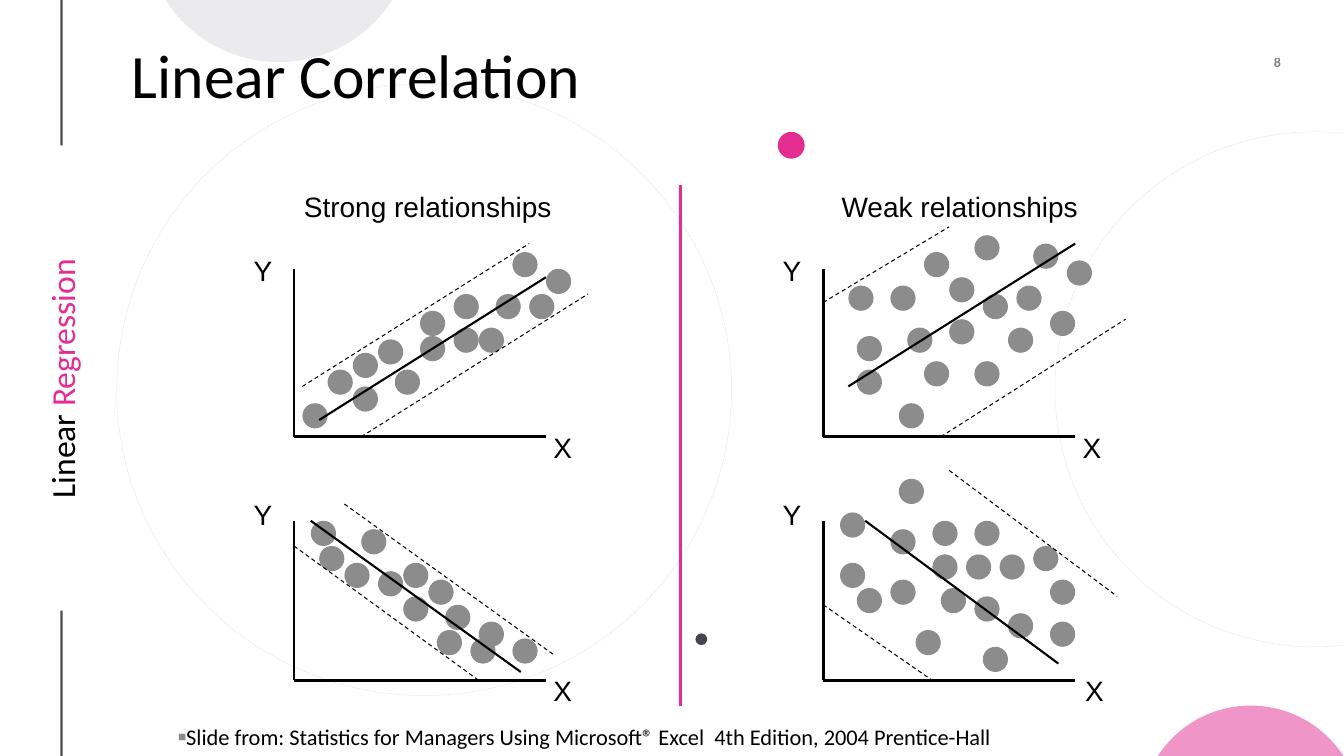
from math import asin, cos, sin
from lxml.etree import SubElement
from pptx import Presentation
from pptx.dml.color import RGBColor as RGB
from pptx.enum.dml import MSO_LINE as Dash
from pptx.enum.shapes import MSO_CONNECTOR as Conn, MSO_SHAPE as Kind
from pptx.enum.text import MSO_ANCHOR as Anchor, MSO_AUTO_SIZE as Fit, PP_ALIGN as Align
from pptx.oxml.ns import qn
from pptx.util import Emu, Pt

COLS, ROWS, CELL = 160, 90, 76200  # square cells, twelve to the inch
BLACK = RGB(0x00, 0x00, 0x00)
PINK = RGB(0xE3, 0x2D, 0x91)
GREY = RGB(0x8C, 0x8C, 0x8C)
PALE = RGB(0xD8, 0xD9, 0xDC)
SLATE = RGB(0x45, 0x45, 0x51)

# Each plot: origin, axis height, column of the X label, dots, fit line, band lines.
# Dots and lines count cells right of and above the origin.
PLOTS = [
    ((35, 52), 20, 29.7,
     [(1, 4), (4, 8), (26, 22), (28, 17), (7, 6), (30, 20), (19, 13), (19, 17),
      (24, 17), (15, 15), (7, 10), (10, 11.6), (22, 13), (15, 12), (12, 8)],
     (3, 2, 30, 19), [(1, 6, 28, 23), (8, 0, 35, 17)]),
    ((35, 81), 19, 29.7,
     [(21, 5), (3, 16), (26, 5), (8, 18), (18, 9), (22, 7), (13, 14), (2, 19),
      (6, 14), (10, 13), (17, 6), (16, 12), (13, 10)],
     (2, 19, 27, 1), [(6, 21, 31, 3), (0, 16, 22, 0)]),
    ((98, 52), 20, 29.7,
     [(15, 19), (4, 8), (18, 9), (23, 18), (8, 18), (9, 4), (12, 9), (19, 17),
      (12, 22), (4, 12), (3, 18), (10, 13), (22, 13), (15, 14), (18, 24),
      (29, 21), (27, 15), (25, 23)],
     (3, 6, 30, 23), [(0, 16, 15, 25), (14, 0, 36, 14)]),
    ((98, 81), 19, 30,
     [(2, 14), (2, 20), (8, 12), (19, 4), (4, 11), (13, 19), (18, 10), (17, 15),
      (13, 15), (8, 18), (21, 15), (14, 11), (11, 6), (22, 8), (27, 12),
      (25, 16), (27, 7), (18, 19), (9, 24)],
     (5, 19, 28, 2), [(15, 25, 35, 10), (0, 9, 13, 0)]),
]


def cells(*vals):
    return [Emu(round(v * CELL)) for v in vals]


def fade(node, pct):
    """Set the opacity of every colour inside an XML node."""
    for clr in node.iter(qn("a:srgbClr")):
        SubElement(clr, qn("a:alpha")).set("val", str(pct * 1000))


class Board:
    def __init__(self, slide):
        self.slide = slide
        self.shapes = slide.shapes

    def font(self, run, size, name="Calibri", color=BLACK, bold=False):
        run.font.size, run.font.name, run.font.bold = Pt(size), name, bold
        run.font.color.rgb = color

    def place(self, shape, box):
        shape.left, shape.top, shape.width, shape.height = cells(*box)

    def line(self, x1, y1, x2, y2, width, color=BLACK, dash=None, alpha=100):
        link = self.shapes.add_connector(Conn.STRAIGHT, *cells(x1, y1, x2, y2))
        link.line.width, link.line.color.rgb = Pt(width), color
        if dash:
            link.line.dash_style = dash
        if alpha < 100:
            fade(link.line._ln, alpha)
        SubElement(link._element.spPr, qn("a:effectLst"))

    def disc(self, x, y, size, color):
        dot = self.shapes.add_shape(Kind.OVAL, *cells(x, y, size, size))
        dot.shadow.inherit = False
        dot.fill.solid()
        dot.fill.fore_color.rgb = color
        dot.line.fill.background()

    def ring(self, *box):
        oval = self.shapes.add_shape(Kind.OVAL, *cells(*box))
        oval.shadow.inherit = False
        oval.fill.background()
        oval.line.width, oval.line.color.rgb = Pt(0.5), BLACK
        oval.line.dash_style = Dash.ROUND_DOT
        fade(oval.line._ln, 10)

    def cap(self, mid, edge, half, rise, color):
        """Draw a disc cut off by a slide edge; a negative rise points up."""
        rad = (half ** 2 + rise ** 2) / (2 * abs(rise))
        way = 1 if rise > 0 else -1
        core = edge + rise - way * rad
        arc = asin(half / rad)
        turns = [arc * (i / 20 - 1) for i in range(41)]
        pts = [cells(mid + rad * sin(t), core + way * rad * cos(t)) for t in turns]
        pen = self.shapes.build_freeform(*pts[0], scale=1.0)
        pen.add_line_segments(pts[1:], close=True)
        part = pen.convert_to_shape()
        part.shadow.inherit = False
        part.fill.solid()
        part.fill.fore_color.rgb = color
        part.line.fill.background()
        fade(part._element.spPr, 50)

    def text(self, words, box, size, name="Arial", wrap=True, **look):
        area = self.shapes.add_textbox(*cells(*box))
        frame = area.text_frame
        frame.text, frame.word_wrap = words, wrap
        self.font(frame.paragraphs[0].runs[0], size, name, **look)
        return area

    def inset(self, frame, gap):
        frame.margin_left = frame.margin_right = Pt(gap)
        frame.margin_top = frame.margin_bottom = Pt(gap)
        frame.vertical_anchor = Anchor.MIDDLE

    def title(self, words, box):
        head = self.shapes.title
        self.place(head, box)
        frame = head.text_frame
        frame.text, frame.vertical_anchor = words, Anchor.MIDDLE
        frame.auto_size = Fit.NONE
        para = frame.paragraphs[0]
        para.alignment, para.line_spacing = Align.LEFT, 0.9
        self.font(para.runs[0], 44)
        self.shapes._spTree.append(head._element)  # bring to front

    def note(self, words, box):
        body = self.slide.placeholders[1]
        self.place(body, box)
        frame = body.text_frame
        frame.text, frame.vertical_anchor = words, Anchor.TOP
        frame.auto_size = Fit.NONE
        para = frame.paragraphs[0]
        para.space_before = Pt(0)
        props = para._p.get_or_add_pPr()
        props.set("marL", "0")
        props.set("indent", "0")
        tint = SubElement(props, qn("a:buClr"))
        SubElement(tint, qn("a:srgbClr")).set("val", str(GREY))
        SubElement(props, qn("a:buSzPct")).set("val", "60000")
        SubElement(props, qn("a:buFont")).set("typeface", "Arial")
        SubElement(props, qn("a:buChar")).set("char", "■")
        self.font(para.runs[0], 16)

    def plot(self, base, tall, tag, dots, fit, bands):
        x, y = base
        self.line(x, y - tall, x, y, 2)
        self.line(x, y, x + 30, y, 2)
        for dx, dy in dots:
            self.disc(x + dx, y - dy, 3, GREY)
        self.text("Y", (x - 6, y - 22.4, 4.7, 5.2), 20, wrap=False)
        self.text("X", (x + tag, y - 1.4, 4.7, 5.2), 20, wrap=False)
        for ends, width, dash in [(b, 0.75, Dash.DASH) for b in bands] + [(fit, 1.5, None)]:
            x1, y1, x2, y2 = ends
            self.line(x + x1, y - y1, x + x2, y - y2, width, dash=dash)

    def frame(self):
        """Draw the margin decoration, side label and slide number."""
        for top, end in ((0, 17.3), (72.7, ROWS)):
            self.line(7.32, top, 7.32, end, 1.5, alpha=70)
        self.ring(125.6, 15.7, 61.7, 61.3)
        self.ring(13.9, 10, 73.2, 72.8)
        self.disc(82.8, 75.4, 1.4, SLATE)
        self.disc(92.6, 15.7, 3.2, PINK)
        self.cap(148.9, ROWS, 11.05, -6, PINK)
        self.cap(33.2, 0, 13.5, 7.4, PALE)
        side = self.text("Linear ", (-20.3, 42.4, 55.3, 5.4), 24, "Calibri")
        side.rotation = 270
        self.inset(side.text_frame, 1.44)
        para = side.text_frame.paragraphs[0]
        para.alignment = Align.CENTER
        run = para.add_run()
        run.text = "Regression"
        self.font(run, 24, color=PINK)
        page = self.text("8", (143.3, 5.8, 9.2, 3.2), 10, "Calibri", bold=True)
        self.inset(page.text_frame, 0)
        page.text_frame.paragraphs[0].alignment = Align.RIGHT
        fade(page._element.txBody, 50)


def main():
    deck = Presentation()
    deck.slide_width, deck.slide_height = cells(COLS, ROWS)
    board = Board(deck.slides.add_slide(deck.slide_layouts[1]))
    board.frame()
    for plot in PLOTS:
        board.plot(*plot)
    board.text("Strong relationships", (35, 22, 35, 5.4), 20)
    board.text("Weak relationships", (99, 22, 34, 5.4), 20)
    board.line(81, 22, 81, 84, 2.25, PINK)
    board.title("Linear Correlation", (14.5, 4.8, 134.5, 9.2))
    board.note("Slide from: Statistics for Managers Using Microsoft® Excel  4th Edition, "
               "2004 Prentice-Hall", (20, 85.5, 103, 4.4))
    deck.save("out.pptx")


if __name__ == "__main__":
    main()
